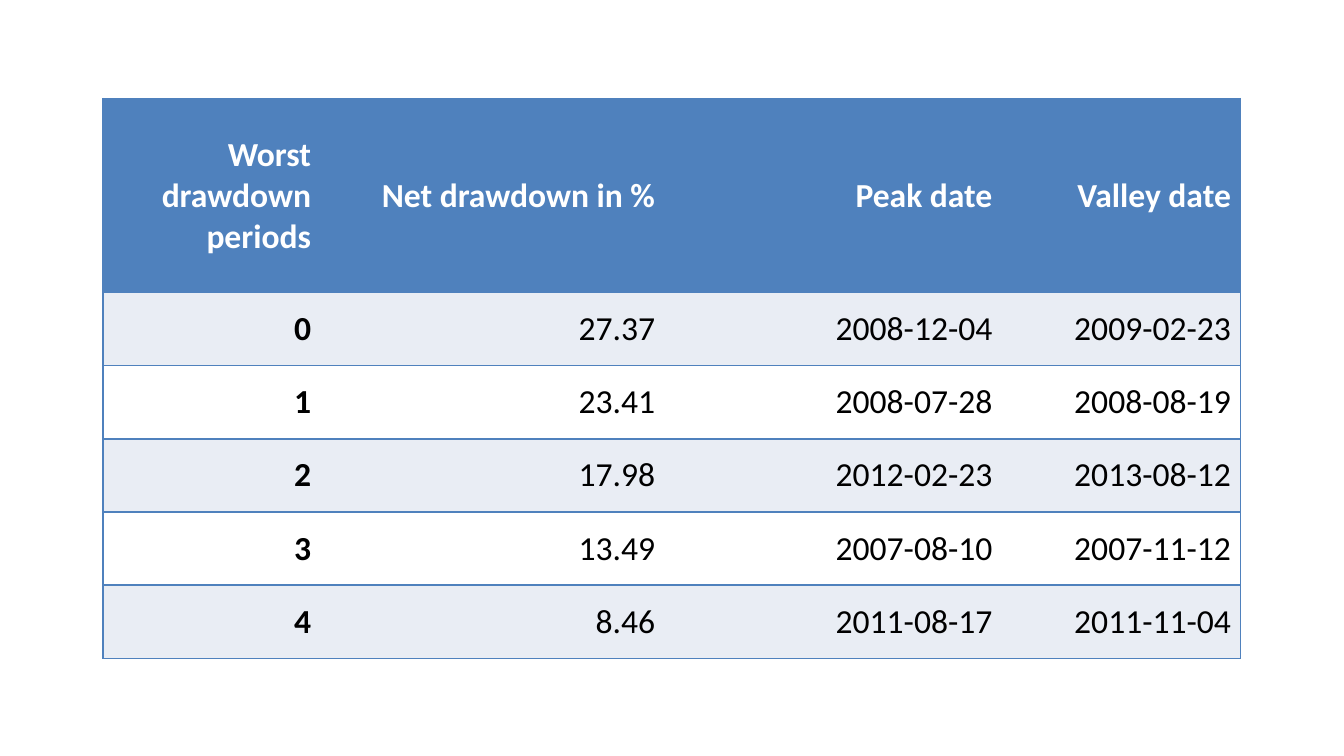
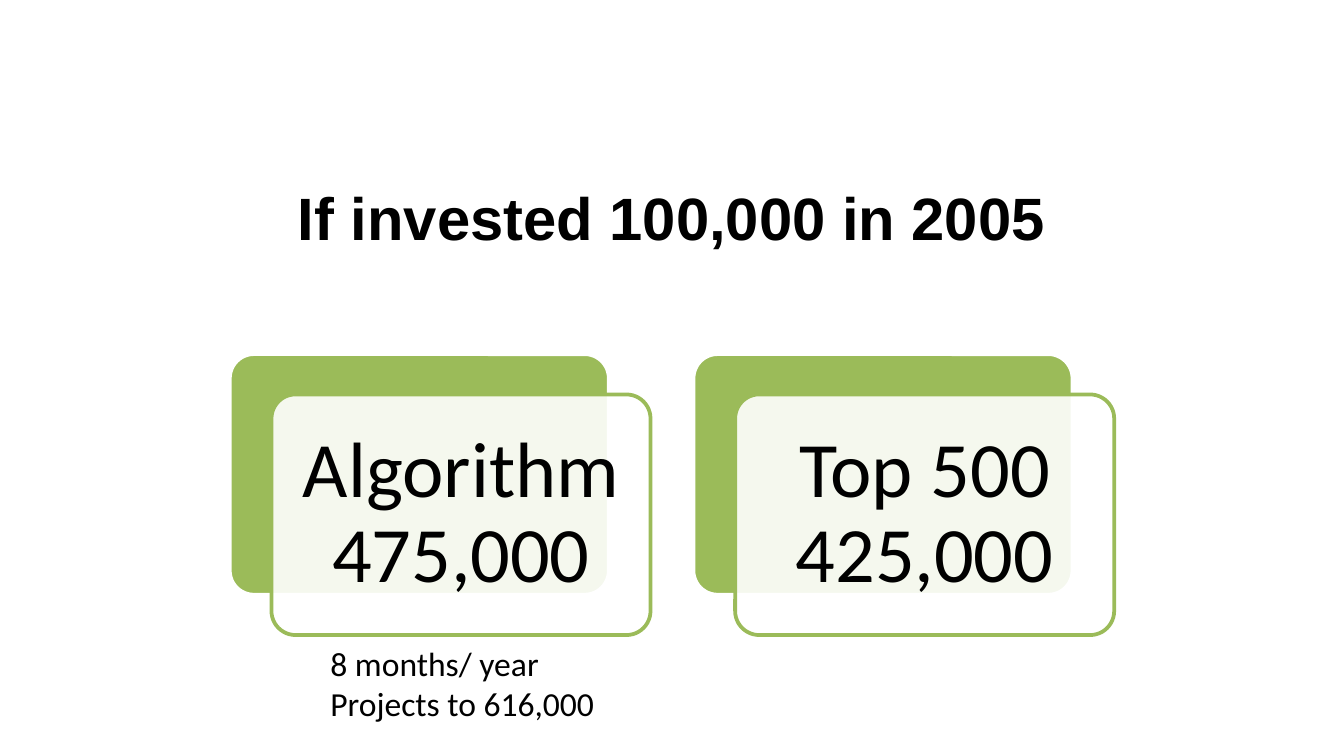
"""Build a drawdown table slide and an investment comparison slide."""
from lxml.etree import SubElement
from pptx import Presentation
from pptx.dml.color import RGBColor
from pptx.enum.shapes import MSO_SHAPE as Shape
from pptx.enum.text import MSO_ANCHOR as Anchor, PP_ALIGN as Align
from pptx.oxml.ns import qn
from pptx.util import Pt

PX = 4572
COLORS = {
    "blue": "4F81BD",
    "band": "E9EDF4",
    "green": "9BBB59",
    "white": "FFFFFF",
    "black": "000000",
}
RGB = {name: RGBColor.from_string(value) for name, value in COLORS.items()}


def style_text(frame, size, align, color="black", bold=False, font="Calibri"):
    for paragraph in frame.paragraphs:
        paragraph.alignment = align
        paragraph.font.name = font
        paragraph.font.size = Pt(size)
        paragraph.font.bold = bold
        paragraph.font.color.rgb = RGB[color]


def set_border(cell, side, visible):
    line = SubElement(cell._tc.get_or_add_tcPr(), qn(f"a:ln{side}"), w=str(Pt(1)))
    if visible:
        fill = SubElement(line, qn("a:solidFill"))
        SubElement(fill, qn("a:srgbClr"), val=COLORS["blue"])
    else:
        SubElement(line, qn("a:noFill"))


deck = Presentation()
deck.slide_width = 2000 * PX
deck.slide_height = 1125 * PX
blank = deck.slide_layouts[6]

page = deck.slides.add_slide(blank)
drawdowns = [
    ("Worst drawdown periods", "Net drawdown in %", "Peak date", "Valley date"),
    ("0", "27.37", "2008-12-04", "2009-02-23"),
    ("1", "23.41", "2008-07-28", "2008-08-19"),
    ("2", "17.98", "2012-02-23", "2013-08-12"),
    ("3", "13.49", "2007-08-10", "2007-11-12"),
    ("4", "8.46", "2011-08-17", "2011-11-04"),
]
widths = [324, 512, 502, 355]
heights = [288] + [109] * 5
table = page.shapes.add_table(
    len(heights), len(widths), 153 * PX, 147 * PX, sum(widths) * PX, sum(heights) * PX
).table
table.horz_banding = False
for column, width in zip(table.columns, widths):
    column.width = width * PX
for row, height in zip(table.rows, heights):
    row.height = height * PX

for row_index, values in enumerate(drawdowns):
    header = row_index == 0
    fill_name = "blue" if header else "band" if row_index % 2 else "white"
    for column_index, value in enumerate(values):
        cell = table.cell(row_index, column_index)
        set_border(cell, "L", column_index == 0)
        set_border(cell, "R", column_index == len(widths) - 1)
        set_border(cell, "T", True)
        set_border(cell, "B", True)
        cell.fill.solid()
        cell.fill.fore_color.rgb = RGB[fill_name]
        cell.margin_left = cell.margin_right = 14 * PX
        cell.margin_top = cell.margin_bottom = 7 * PX
        cell.vertical_anchor = Anchor.MIDDLE
        cell.text = value
        style_text(
            cell.text_frame, 18, Align.RIGHT,
            color="white" if header else "black",
            bold=header or column_index == 0,
        )

page = deck.slides.add_slide(blank)
title = page.shapes.add_textbox(100 * PX, 235 * PX, 1800 * PX, 176 * PX).text_frame
title.word_wrap = True
title.vertical_anchor = Anchor.MIDDLE
title.text = "If invested 100,000 in 2005"
style_text(title, 32, Align.CENTER, bold=True, font="Arial")

for index, result in enumerate(["Algorithm 475,000", "Top 500 425,000"]):
    left = 342 + 690 * index
    top = 527
    for shift, fill_name, line_name in [(0, "green", "white"), (1, "white", "green")]:
        card = page.shapes.add_shape(
            Shape.ROUNDED_RECTANGLE,
            (left + 62 * shift) * PX, (top + 60 * shift) * PX, 564 * PX, 358 * PX,
        )
        card.adjustments[0] = 0.1
        card.shadow.inherit = False
        card.fill.solid()
        card.fill.fore_color.rgb = RGB[fill_name]
        card.line.color.rgb = RGB[line_name]
        card.line.width = Pt(2)
    fill_color = card._element.spPr.find(qn("a:solidFill"))[0]
    SubElement(fill_color, qn("a:alpha"), val="90000")
    label = page.shapes.add_textbox(
        (left + 72) * PX, (top + 70) * PX, 544 * PX, 338 * PX
    ).text_frame
    label.margin_left = label.margin_right = 33 * PX
    label.margin_top = label.margin_bottom = 33 * PX
    label.word_wrap = True
    label.vertical_anchor = Anchor.MIDDLE
    label.text = result
    label.paragraphs[0].line_spacing = 0.9
    style_text(label, 42, Align.CENTER)

note = page.shapes.add_textbox(472 * PX, 947 * PX, 438 * PX, 142 * PX).text_frame
note.word_wrap = False
note.text = "8 months/ year\nProjects to 616,000"
style_text(note, 18, Align.LEFT)

deck.save("out.pptx")
